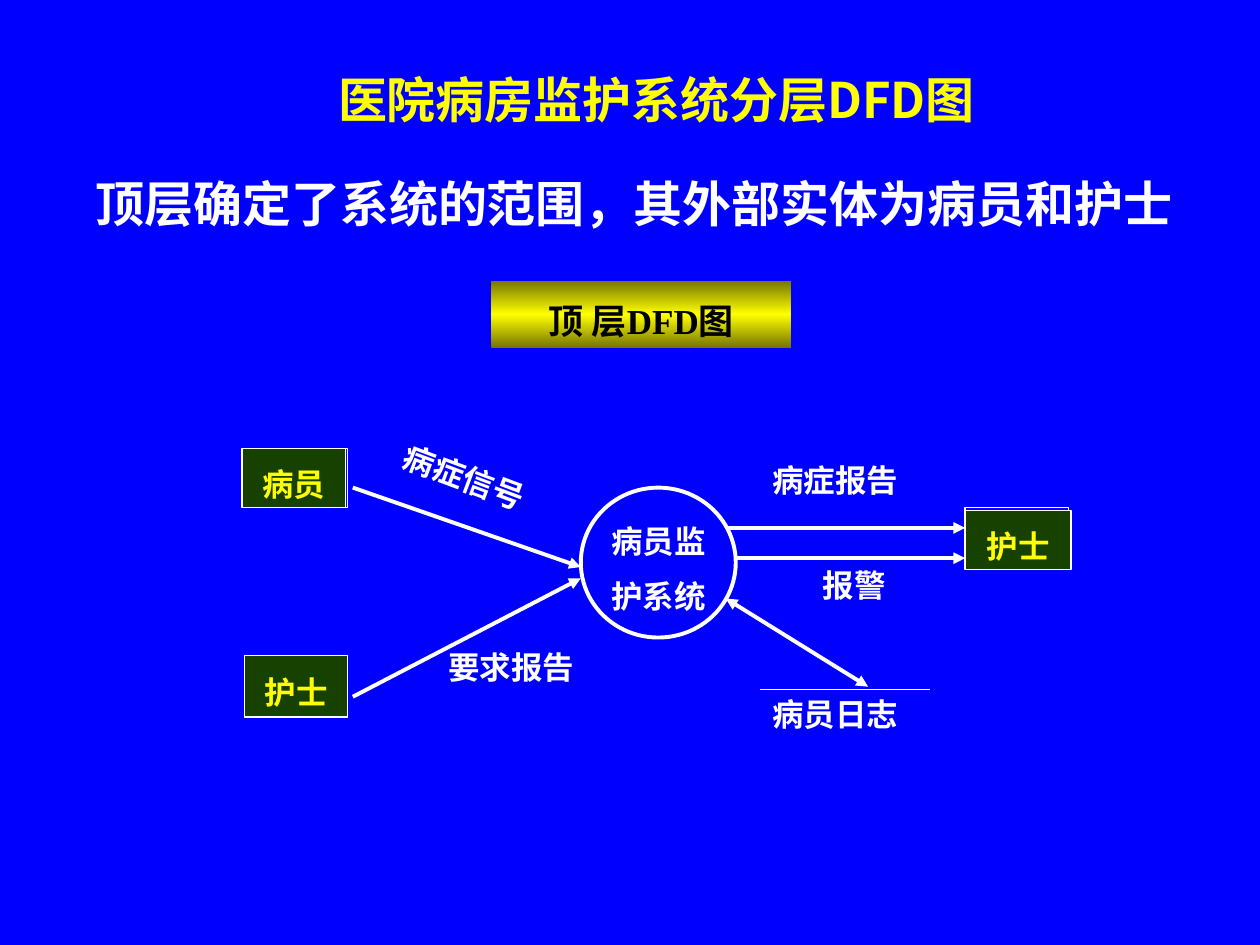
from copy import deepcopy

from lxml import etree
from pptx import Presentation
from pptx.dml.color import RGBColor
from pptx.enum.shapes import MSO_CONNECTOR, MSO_SHAPE
from pptx.enum.text import MSO_ANCHOR, PP_ALIGN
from pptx.oxml.ns import qn
from pptx.util import Inches, Pt

BLUE = RGBColor(0x00, 0x00, 0xFF)
WHITE = RGBColor(0xFF, 0xFF, 0xFF)
YELLOW = RGBColor(0xFF, 0xFF, 0x00)
OLIVE = RGBColor(0x76, 0x76, 0x00)
GREEN = RGBColor(0x16, 0x41, 0x01)
BLACK = RGBColor(0x00, 0x00, 0x00)

RECTANGLE, OVAL = MSO_SHAPE.RECTANGLE, MSO_SHAPE.OVAL
STRAIGHT = MSO_CONNECTOR.STRAIGHT
TOP, MIDDLE = MSO_ANCHOR.TOP, MSO_ANCHOR.MIDDLE
LEFT, CENTER, JUSTIFY = PP_ALIGN.LEFT, PP_ALIGN.CENTER, PP_ALIGN.JUSTIFY
SANS, SERIF = "Noto Sans CJK SC", "Times New Roman"

TITLE = ("医院病房监护系统分层DFD图", (2.13, 0.36, 6.16, 0.71))
SUBTITLE = ("顶层确定了系统的范围，其外部实体为病员和护士", (0.66, 1.33, 9.15, 0.57))
BANNER = ("顶 层DFD图", (3.9, 2.23, 2.38, 0.53))
PROCESS = ("病员监\n护系统", (4.61, 3.87, 1.23, 1.19))

BACK_FRAMES = [(1.94, 3.56, 0.82, 0.47), (7.66, 4.03, 0.82, 0.47), (1.94, 5.22, 0.82, 0.47)]
ENTITIES = [
    ("护士", (1.94, 5.2, 0.82, 0.49), SERIF),
    ("病员", (1.92, 3.56, 0.82, 0.47), SANS),
    ("护士", (7.66, 4.05, 0.84, 0.47), SERIF),
]
# text, box, font, alignment, wrap, rotation
LABELS = [
    ("病员日志", (6.03, 5.38, 1.59, 0.49), SANS, LEFT, True, 0),
    ("病症信号", (3.08, 3.62, 1.91, 0.49), SANS, LEFT, True, 20.5),
    ("要求报告", (3.46, 5.0, 1.21, 0.49), SERIF, LEFT, False, 0),
    ("病症报告", (6.03, 3.52, 1.21, 0.49), SANS, LEFT, False, 0),
    ("报警", (6.16, 4.35, 1.24, 0.49), SERIF, CENTER, True, 0),
]
# start, end, width, arrow ends
FLOWS = [
    ((2.8, 3.87), (4.61, 4.5), 2.25, ["tailEnd"]),
    ((2.8, 5.53), (4.61, 4.59), 2.25, ["tailEnd"]),
    ((5.77, 4.19), (7.66, 4.19), 2.25, ["tailEnd"]),
    ((5.85, 4.43), (7.66, 4.43), 2.25, ["tailEnd"]),
    ((5.76, 4.75), (6.89, 5.45), 2.25, ["headEnd", "tailEnd"]),
    ((6.03, 5.47), (7.38, 5.47), 0.75, []),
]


def write(shape, text, color, size=18, font=SERIF, align=CENTER,
          anchor=TOP, wrap=True, spacing=1.3):
    frame = shape.text_frame
    frame.text = text
    frame.word_wrap = wrap
    frame.vertical_anchor = anchor
    values = {"size": Pt(size), "name": font, "bold": True}
    for index, paragraph in enumerate(frame.paragraphs):
        paragraph.alignment = align
        paragraph.line_spacing = spacing
        paragraph.space_before = Pt(size * 0.2 if index else 0)
        for run in paragraph.runs:
            for name, value in values.items():
                setattr(run.font, name, value)
            run.font.color.rgb = color
            east_asian = etree.Element(qn("a:ea"), typeface=SANS)
            run.font._element.find(qn("a:latin")).addnext(east_asian)


def add_block(slide, kind, box, fill=None, line_width=None):
    shape = slide.shapes.add_shape(kind, *map(Inches, box))
    shape.shadow.inherit = False
    if fill is None:
        shape.fill.background()
    else:
        shape.fill.solid()
        shape.fill.fore_color.rgb = fill
    if line_width is None:
        shape.line.fill.background()
    else:
        shape.line.color.rgb = WHITE
        shape.line.width = Pt(line_width)
    return shape


def add_flow(slide, start, end, width, arrow_ends):
    connector = slide.shapes.add_connector(STRAIGHT, *map(Inches, start + end))
    connector.line.color.rgb = WHITE
    connector.line.width = Pt(width)
    outline = connector.line._get_or_add_ln()
    for arrow_end in arrow_ends:
        etree.SubElement(outline, qn(f"a:{arrow_end}"), type="triangle")
    etree.SubElement(connector._element.spPr, qn("a:effectLst"))


def fill_banner(shape):
    """Vertical gradient: dark edges, bright middle."""
    shape.fill.gradient()
    shape.fill.gradient_angle = 90
    stops = shape.fill.gradient_stops
    for stop, position, color in zip(stops, (0, 1), (OLIVE, OLIVE)):
        stop.position = position
        stop.color.rgb = color
    first = shape._element.spPr.find(f".//{qn('a:gs')}")
    first.addnext(deepcopy(first))
    middle = shape.fill.gradient_stops[1]
    middle.position = 0.5
    middle.color.rgb = YELLOW


def main():
    presentation = Presentation()
    presentation.slide_width, presentation.slide_height = Inches(10), Inches(7.5)
    slide = presentation.slides.add_slide(presentation.slide_layouts[5])
    slide.background.fill.solid()
    slide.background.fill.fore_color.rgb = BLUE

    for box in BACK_FRAMES:
        add_block(slide, RECTANGLE, box, line_width=0.75)

    text, box = PROCESS
    process = add_block(slide, OVAL, box, line_width=2.25)
    write(process, text, WHITE, font=SANS, anchor=MIDDLE, wrap=False)

    for flow in FLOWS:
        add_flow(slide, *flow)

    for text, box, font, align, wrap, rotation in LABELS:
        label = slide.shapes.add_textbox(*map(Inches, box))
        label.rotation = rotation
        write(label, text, WHITE, font=font, align=align, wrap=wrap)

    text, box = BANNER
    banner = add_block(slide, RECTANGLE, box)
    fill_banner(banner)
    write(banner, text, BLACK, size=20)

    text, box = TITLE
    title = slide.shapes.title
    title.left, title.top, title.width, title.height = map(Inches, box)
    write(title, text, YELLOW, size=28, font=SANS)

    text, box = SUBTITLE
    subtitle = slide.shapes.add_textbox(*map(Inches, box))
    write(subtitle, text, WHITE, size=28, align=JUSTIFY, spacing=1.0)

    for text, box, font in ENTITIES:
        entity = add_block(slide, RECTANGLE, box, GREEN, 0.75)
        write(entity, text, YELLOW, font=font, anchor=MIDDLE, wrap=False)

    presentation.save("out.pptx")


if __name__ == "__main__":
    main()
